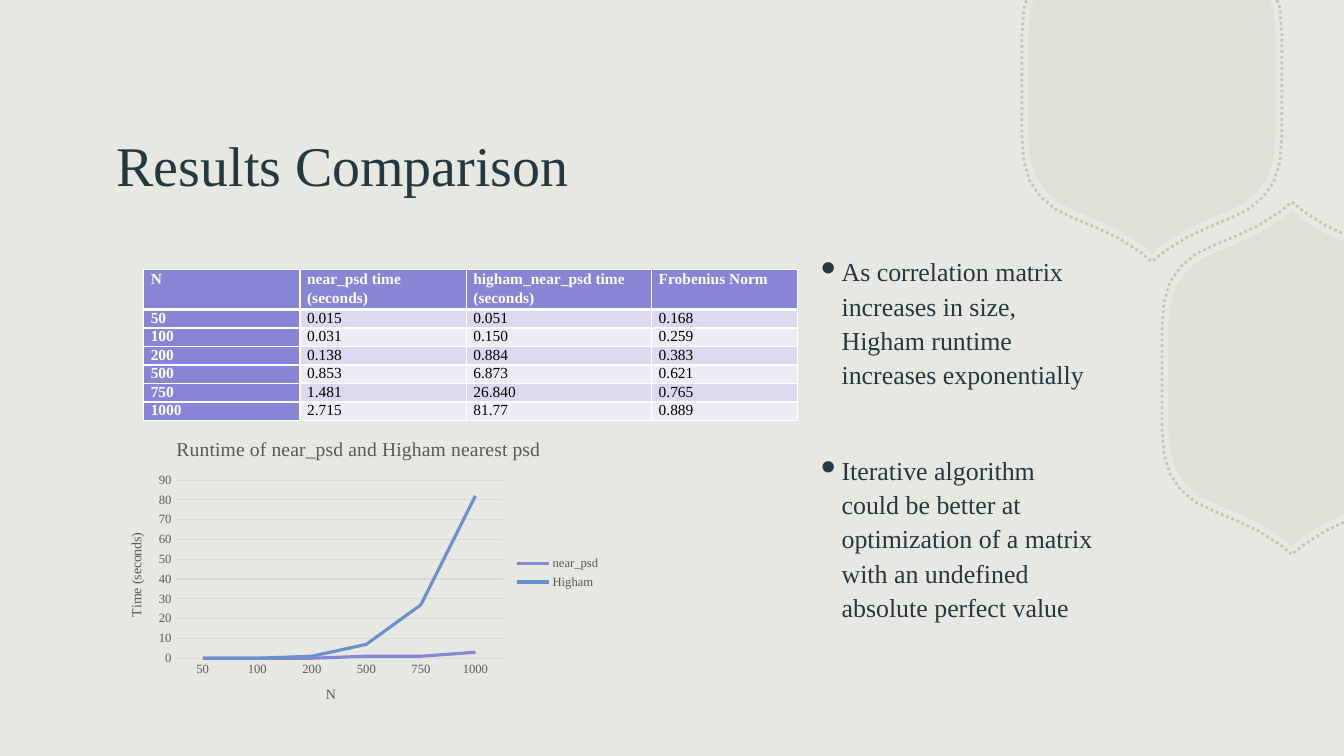
import dataclasses

import lxml.etree
import pptx
import pptx.chart.data
import pptx.dml.color
import pptx.enum.chart
import pptx.enum.dml
import pptx.enum.text
import pptx.oxml.ns
import pptx.util

Cm, Pt, qn = pptx.util.Cm, pptx.util.Pt, pptx.oxml.ns.qn
Point = tuple[float, float]


@dataclasses.dataclass(frozen=True)
class Theme:
    font: str = "Times New Roman"
    paper: str = "E8E8E2"
    tile: str = "B5B5A2"
    ink: str = "24393F"
    violet: str = "8885D7"
    blue: str = "6A90CE"
    bands: tuple[str, str] = ("DAD9F0", "EDEDF8")
    white: str = "FFFFFF"
    black: str = "000000"
    grey: str = "595959"
    grid: str = "D9D9D9"
    title: float = 40
    body: float = 18.5
    cell: float = 11
    chart_title: float = 14
    axis_title: float = 10
    tick: float = 9


@dataclasses.dataclass(frozen=True)
class Tile:
    x: float
    y: float
    scale: float
    dotted: bool


@dataclasses.dataclass(frozen=True)
class Box:
    x: float
    y: float
    w: float
    h: float

    def emu(self) -> tuple[int, int, int, int]:
        """Return the box as slide lengths."""
        return Cm(self.x), Cm(self.y), Cm(self.w), Cm(self.h)


THEME = Theme()
SLIDE_W, SLIDE_H = 33.87, 19.05
TILES = [Tile(x, y, scale, scale > 1) for scale in (1, 1.05)
         for x, y in ((29.03, 2.15), (32.56, 9.53))]
TILE_CURVES = [
    ((0.28, 4.0), (0.97, 3.47), (1.73, 3.31), (2.31, 2.98)),
    ((2.31, 2.98), (2.87, 2.6), (3.12, 2.15), (3.12, 1.23)),
]
TILE_TIP = (0, 4.23)
CURVE_STEPS = 4

TITLE_BOX = Box(2.69, 2.67, 25.22, 2.95)
BODY_BOX = Box(20.32, 6.25, 7.57, 10.13)
CHART_BOX = Box(2.69, 10.62, 12.7, 7.62)
TABLE_BOX = Box(3.62, 6.8, 16.48, 3.69)
COL_WIDTHS = (3.94, 4.19, 4.67, 3.68)
HEADER_H, ROW_H = 0.93, 0.46
HEADER = ("N", "near_psd time (seconds)", "higham_near_psd time (seconds)", "Frobenius Norm")
RESULTS = [
    ("50", "0.015", "0.051", "0.168"),
    ("100", "0.031", "0.150", "0.259"),
    ("200", "0.138", "0.884", "0.383"),
    ("500", "0.853", "6.873", "0.621"),
    ("750", "1.481", "26.840", "0.765"),
    ("1000", "2.715", "81.77", "0.889"),
]
SERIES = (("near_psd", 1, THEME.violet), ("Higham", 2, THEME.blue))
FINDINGS = (
    "As correlation matrix increases in size, Higham runtime increases exponentially",
    "Iterative algorithm could be better at optimization of a matrix with an undefined "
    "absolute perfect value",
)


def rgb(color: str) -> pptx.dml.color.RGBColor:
    """Turn a hex string into a colour."""
    return pptx.dml.color.RGBColor.from_string(color)


def style(font, size: float, color: str, bold: bool = False) -> None:
    """Apply the theme font with a size and colour."""
    font.name, font.size, font.bold = THEME.font, Pt(size), bold
    font.color.rgb = rgb(color)


def bezier(a: Point, b: Point, c: Point, d: Point) -> list[Point]:
    """Sample a cubic curve."""
    ts = [i / CURVE_STEPS for i in range(CURVE_STEPS + 1)]
    return [tuple((1 - t) ** 3 * a[k] + 3 * t * (1 - t) ** 2 * b[k]
                  + 3 * t * t * (1 - t) * c[k] + t ** 3 * d[k] for k in (0, 1)) for t in ts]


def tile_outline(tile: Tile) -> list[Point]:
    """Mirror one quarter of the tile into its whole outline."""
    quarter = [TILE_TIP] + [pt for curve in TILE_CURVES for pt in bezier(*curve)]
    back = quarter[::-1]
    turns = ((back, 1, 1), (quarter, -1, 1), (back, -1, -1), (quarter, 1, -1))
    pts = [(tile.x + sx * x * tile.scale, tile.y + sy * y * tile.scale)
           for pts, sx, sy in turns for x, y in pts]
    return list(dict.fromkeys(pts))


def depth(pt: Point) -> float:
    """Measure how far a point lies inside the top and right edges."""
    return min(SLIDE_W - pt[0], pt[1])


def clip(pts: list[Point]) -> list[Point]:
    """Cut an outline at the slide edge, starting where it enters."""
    cut = next(i for i, pt in enumerate(pts) if depth(pt) < 0)
    ring = pts[cut:] + pts[:cut + 1]
    kept = []
    for a, b in zip(ring, ring[1:]):
        da, db = depth(a), depth(b)
        if (da < 0) != (db < 0):
            t = da / (da - db)
            kept.append((a[0] + t * (b[0] - a[0]), a[1] + t * (b[1] - a[1])))
        if db >= 0:
            kept.append(b)
    return kept


def add_tile(s, tile: Tile) -> None:
    """Draw a tile as far as it lies on the slide."""
    emu = [(Cm(x), Cm(y)) for x, y in clip(tile_outline(tile))]
    builder = s.shapes.build_freeform(*emu[0])
    builder.add_line_segments(emu[1:], close=not tile.dotted)
    sp = builder.convert_to_shape()
    sp.shadow.inherit = False
    if tile.dotted:
        sp.fill.background()
        sp.line.color.rgb = rgb(THEME.tile)
        sp.line.width = Pt(2)
        sp.line.dash_style = pptx.enum.dml.MSO_LINE.ROUND_DOT
    else:
        sp.fill.solid()
        sp.fill.fore_color.rgb = rgb(THEME.tile)
        sp.line.fill.background()
    for clr in sp._element.iter(qn("a:srgbClr")):
        lxml.etree.SubElement(clr, qn("a:alpha"), val="65000" if tile.dotted else "15000")


def add_text(s, box: Box, lines: tuple[str, ...], size: float):
    """Add a wrapped text box with one paragraph a line."""
    tf = s.shapes.add_textbox(*box.emu()).text_frame
    tf.word_wrap = True
    for i, line in enumerate(lines):
        p = tf.paragraphs[0] if i == 0 else tf.add_paragraph()
        p.text = line
        style(p.font, size, THEME.ink)
    return tf


def add_findings(s) -> None:
    """Add the bulleted findings."""
    tf = add_text(s, BODY_BOX, FINDINGS, THEME.body)
    for p in tf.paragraphs:
        p.line_spacing = 1.1
        pPr = p._p.get_or_add_pPr()
        pPr.set("marL", str(Cm(0.64)))
        pPr.set("indent", str(-Cm(0.64)))
        for tag, key, value in (("buSzPct", "val", "150000"), ("buChar", "char", "∙")):
            bullet = lxml.etree.Element(qn(f"a:{tag}"), {key: value})
            pPr.insert_element_before(bullet, "a:tabLst", "a:defRPr", "a:extLst")
    tf.paragraphs[1].space_before = Pt(44)


def add_borders(cell, top: float, bottom: float) -> None:
    """Give a cell white borders."""
    tcPr = cell._tc.get_or_add_tcPr()
    for side, width in (("L", 1), ("R", 1), ("T", top), ("B", bottom)):
        ln = lxml.etree.SubElement(tcPr, qn(f"a:ln{side}"), w=str(Pt(width)))
        fill = lxml.etree.SubElement(ln, qn("a:solidFill"))
        lxml.etree.SubElement(fill, qn("a:srgbClr"), val=THEME.white)


def add_results(s) -> None:
    """Add the table of results."""
    rows = [HEADER, *RESULTS]
    tbl = s.shapes.add_table(len(rows), len(HEADER), *TABLE_BOX.emu()).table
    tbl.first_col = True
    for col, width in zip(tbl.columns, COL_WIDTHS):
        col.width = Cm(width)
    for i, row in enumerate(rows):
        tbl.rows[i].height = Cm(ROW_H if i else HEADER_H)
        for j, value in enumerate(row):
            cell = tbl.cell(i, j)
            head = i == 0 or j == 0
            add_borders(cell, 3 if i == 1 else 1, 3 if i == 0 else 1)
            cell.fill.solid()
            cell.fill.fore_color.rgb = rgb(THEME.violet if head else THEME.bands[(i - 1) % 2])
            cell.margin_left = cell.margin_right = Cm(0.18)
            cell.margin_top = cell.margin_bottom = 0
            p = cell.text_frame.paragraphs[0]
            p.text, p.line_spacing = value, 1.0 if i else 1.07
            style(p.font, THEME.cell, THEME.white if head else THEME.black, head)


def set_title(owner, text: str, size: float) -> None:
    """Write a chart or axis title."""
    p = owner.text_frame.paragraphs[0]
    p.text = text
    style(p.font, size, THEME.grey)


def add_runtime_chart(s) -> None:
    """Add the line chart of run times in whole seconds."""
    data = pptx.chart.data.CategoryChartData()
    data.categories = [row[0] for row in RESULTS]
    for name, col, _ in SERIES:
        data.add_series(name, [round(float(row[col])) for row in RESULTS])
    kind = pptx.enum.chart.XL_CHART_TYPE.LINE
    chart = s.shapes.add_chart(kind, *CHART_BOX.emu(), data).chart
    style(chart.font, THEME.axis_title, THEME.black)
    set_title(chart.chart_title, "Runtime of near_psd and Higham nearest psd", THEME.chart_title)
    chart.has_legend = True
    chart.legend.position = pptx.enum.chart.XL_LEGEND_POSITION.RIGHT
    chart.legend.include_in_layout = False
    style(chart.legend.font, THEME.tick, THEME.grey)
    chart.plots[0].vary_by_categories = False
    for series, (_, _, color) in zip(chart.plots[0].series, SERIES):
        series.smooth = False
        series.format.line.color.rgb = rgb(color)
        series.format.line.width = Pt(2.25)
    cat, val = chart.category_axis, chart.value_axis
    for axis, name in ((cat, "N"), (val, "Time (seconds)")):
        set_title(axis.axis_title, name, THEME.axis_title)
        axis.major_tick_mark = pptx.enum.chart.XL_TICK_MARK.NONE
        style(axis.tick_labels.font, THEME.tick, THEME.grey)
    val.format.line.fill.background()
    for line in (cat.format.line, val.major_gridlines.format.line):
        line.color.rgb = rgb(THEME.grid)
        line.width = Pt(0.75)


def main() -> None:
    """Build and save the slide."""
    prs = pptx.Presentation()
    prs.slide_width, prs.slide_height = Cm(SLIDE_W), Cm(SLIDE_H)
    s = prs.slides.add_slide(prs.slide_layouts[6])
    s.background.fill.solid()
    s.background.fill.fore_color.rgb = rgb(THEME.paper)
    for tile in TILES:
        add_tile(s, tile)
    title = add_text(s, TITLE_BOX, ("Results Comparison",), THEME.title)
    title.vertical_anchor = pptx.enum.text.MSO_ANCHOR.MIDDLE
    add_findings(s)
    add_results(s)
    add_runtime_chart(s)
    prs.save("out.pptx")


if __name__ == "__main__":
    main()
